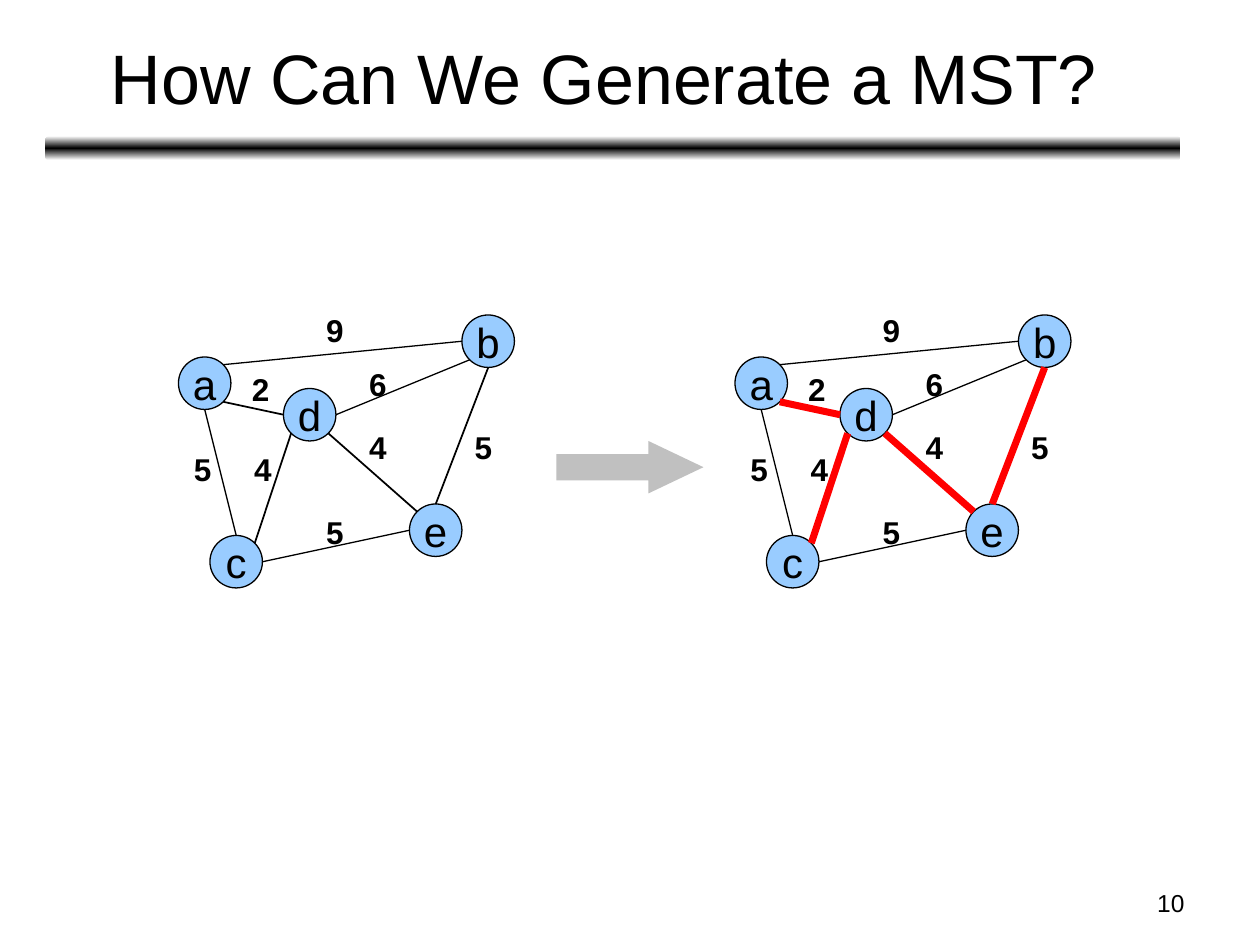
from copy import deepcopy
from dataclasses import dataclass
from math import sqrt

from lxml import etree
from pptx import Presentation
from pptx.dml.color import RGBColor
from pptx.enum import shapes, text
from pptx.oxml import ns
from pptx.util import Pt


@dataclass(frozen=True)
class Theme:
    font: str = "Arial"
    ink: RGBColor = RGBColor(0, 0, 0)
    paper: RGBColor = RGBColor(0xFF, 0xFF, 0xFF)
    node: RGBColor = RGBColor(0x99, 0xCC, 0xFF)
    tree: RGBColor = RGBColor(0xFF, 0, 0)
    arrow: RGBColor = RGBColor(0xC0, 0xC0, 0xC0)
    title_size: int = 40
    node_size: int = 24
    weight_size: int = 18
    number_size: int = 14
    thin: float = 0.75
    medium: float = 1
    thick: float = 4


THEME = Theme()
DIAMETER = 30
GRAPH_SHIFT = 318

# Top left corner of each node in the left graph
NODES = {"a": (102, 204), "c": (120, 306), "e": (234, 288),
         "d": (162, 222), "b": (264, 180)}

# Start node and side, end node and side, whether in the spanning tree
EDGES = [
    ("a", "NE", "b", "W", False),
    ("d", "E", "b", "SW", False),
    ("a", "S", "c", "N", False),
    ("a", "SE", "d", "W", True),
    ("c", "NE", "d", "SW", True),
    ("d", "SE", "e", "NW", True),
    ("b", "S", "e", "N", True),
    ("e", "W", "c", "E", False),
]

# Weight and top left corner of its label in the left graph
WEIGHTS = [
    ("2", 136.8, 208.1), ("4", 138.2, 253.4), ("5", 103.7, 253.4),
    ("9", 179.3, 174.2), ("6", 203.8, 205.2), ("4", 203.8, 241.2),
    ("5", 179.3, 289.4), ("5", 264.2, 241.2),
]


def write(holder, words, size, bold=False, align=text.PP_ALIGN.LEFT,
          anchor=text.MSO_ANCHOR.TOP, wrap=True, fit=text.MSO_AUTO_SIZE.NONE):
    frame = holder.text_frame
    frame.word_wrap = wrap
    frame.auto_size = fit
    frame.vertical_anchor = anchor
    paragraph = frame.paragraphs[0]
    paragraph.alignment = align
    run = paragraph.add_run()
    run.text = words
    run.font.name = THEME.font
    run.font.size = Pt(size)
    run.font.bold = bold
    run.font.color.rgb = THEME.ink


def add_text(parent, words, left, top, width, height, **style):
    box = parent.add_textbox(Pt(left), Pt(top), Pt(width), Pt(height))
    write(box, words, **style)


def add_plain_shape(parent, kind, left, top, width, height):
    """Add a preset shape with neither shadow nor outline."""
    shape = parent.add_shape(kind, Pt(left), Pt(top), Pt(width), Pt(height))
    shape.shadow.inherit = False
    shape.line.fill.background()
    return shape


def add_divider(parent):
    divider = add_plain_shape(parent, shapes.MSO_SHAPE.ROUNDED_RECTANGLE,
                              25.9, 77.8, 648.7, 13.7)
    divider.fill.gradient()
    divider.fill.gradient_angle = 90
    stop_list = divider.element.spPr.find(".//" + ns.qn("a:gsLst"))
    stop_list.append(deepcopy(stop_list[0]))
    colors = (THEME.paper, THEME.ink, THEME.paper)
    for index, (stop, color) in enumerate(zip(divider.fill.gradient_stops, colors)):
        stop.position = index / 2
        stop.color.rgb = color


def add_node(parent, name, left, top):
    node = add_plain_shape(parent, shapes.MSO_SHAPE.OVAL,
                           left, top, DIAMETER, DIAMETER)
    node.fill.solid()
    node.fill.fore_color.rgb = THEME.node
    node.line.color.rgb = THEME.ink
    node.line.width = Pt(THEME.thin)
    write(node, name, THEME.node_size, align=text.PP_ALIGN.CENTER,
          anchor=text.MSO_ANCHOR.MIDDLE, wrap=False)


def rim_point(name, side, shift):
    """Return the point of a node's circle in a compass direction."""
    reach = DIAMETER / 2 / sqrt(len(side))
    left, top = NODES[name]
    x = left + shift + DIAMETER / 2 + reach * (("E" in side) - ("W" in side))
    y = top + DIAMETER / 2 + reach * (("S" in side) - ("N" in side))
    return Pt(x), Pt(y)


def add_edge(parent, start, end, color, width):
    edge = parent.add_connector(shapes.MSO_CONNECTOR.STRAIGHT, *start, *end)
    edge.line.color.rgb = color
    edge.line.width = Pt(width)
    etree.SubElement(edge.element.spPr, ns.qn("a:effectLst"))


def add_graph(parent, shift, tree_color, tree_width):
    graph = parent.add_group_shape().shapes
    for name, (left, top) in NODES.items():
        add_node(graph, name, left + shift, top)
    for start, start_side, end, end_side, in_tree in EDGES:
        add_edge(graph, rim_point(start, start_side, shift),
                 rim_point(end, end_side, shift),
                 tree_color if in_tree else THEME.ink,
                 tree_width if in_tree else THEME.thin)
    for weight, left, top in WEIGHTS:
        add_text(graph, weight, left + shift, top, 24.5, 28.8,
                 size=THEME.weight_size, bold=True, wrap=False,
                 fit=text.MSO_AUTO_SIZE.SHAPE_TO_FIT_TEXT)


def add_arrow(parent):
    arrow = add_plain_shape(parent, shapes.MSO_SHAPE.RIGHT_ARROW,
                            318, 252, 84, 30)
    arrow.adjustments[1] = 1.05
    arrow.fill.solid()
    arrow.fill.fore_color.rgb = THEME.arrow


def main():
    deck = Presentation()
    deck.slide_width, deck.slide_height = Pt(720), Pt(540)
    slide = deck.slides.add_slide(deck.slide_layouts[6])
    parts = slide.shapes
    add_divider(parts)
    add_text(parts, "10", 516.2, 504, 167.8, 25.2,
             size=THEME.number_size, align=text.PP_ALIGN.RIGHT)
    add_text(parts, "How Can We Generate a MST? ", 26.6, 7.9, 648, 71.3,
             size=THEME.title_size, align=text.PP_ALIGN.CENTER,
             anchor=text.MSO_ANCHOR.MIDDLE)
    add_graph(parts, 0, THEME.ink, THEME.medium)
    add_graph(parts, GRAPH_SHIFT, THEME.tree, THEME.thick)
    add_arrow(parts)
    deck.save("out.pptx")


if __name__ == "__main__":
    main()
